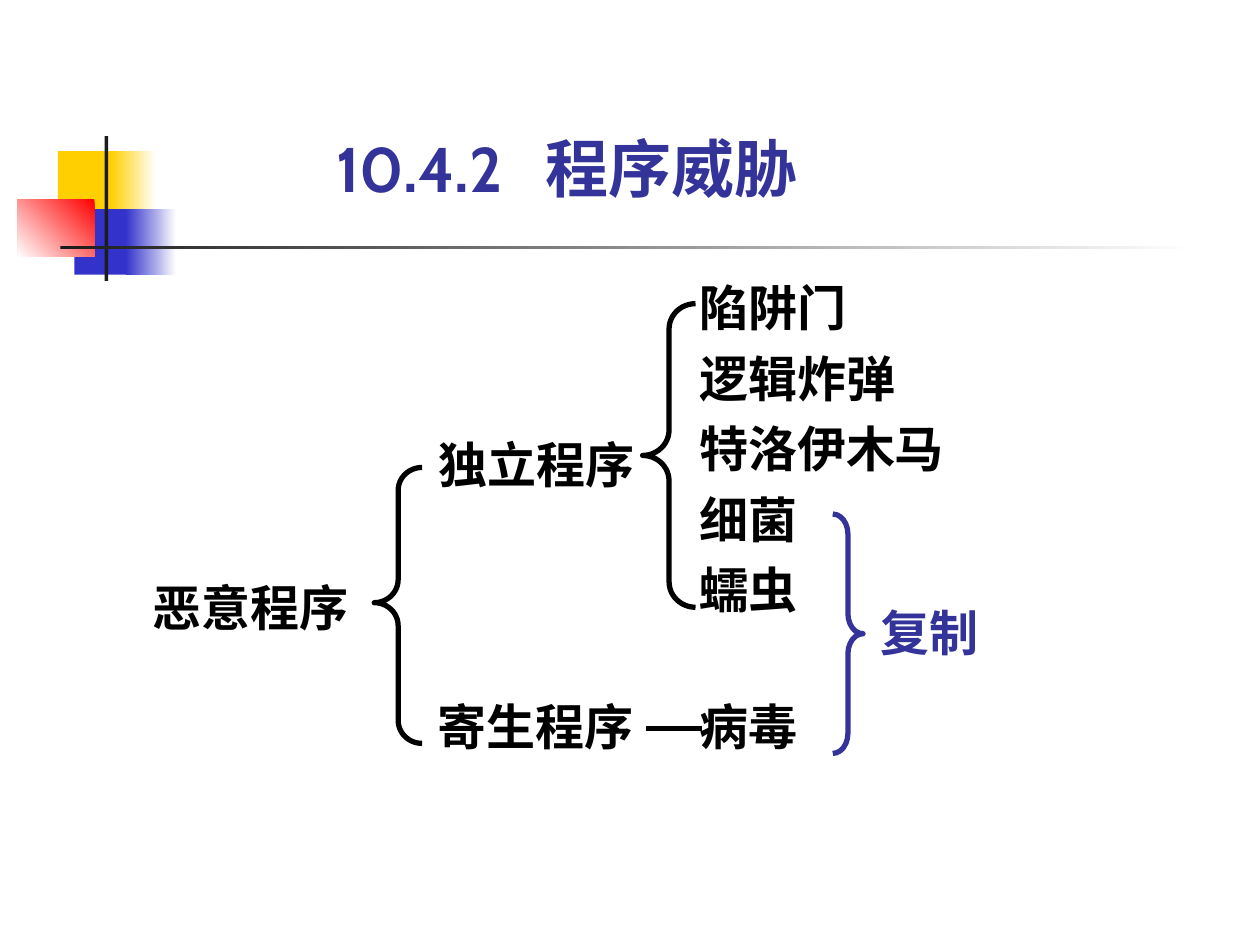
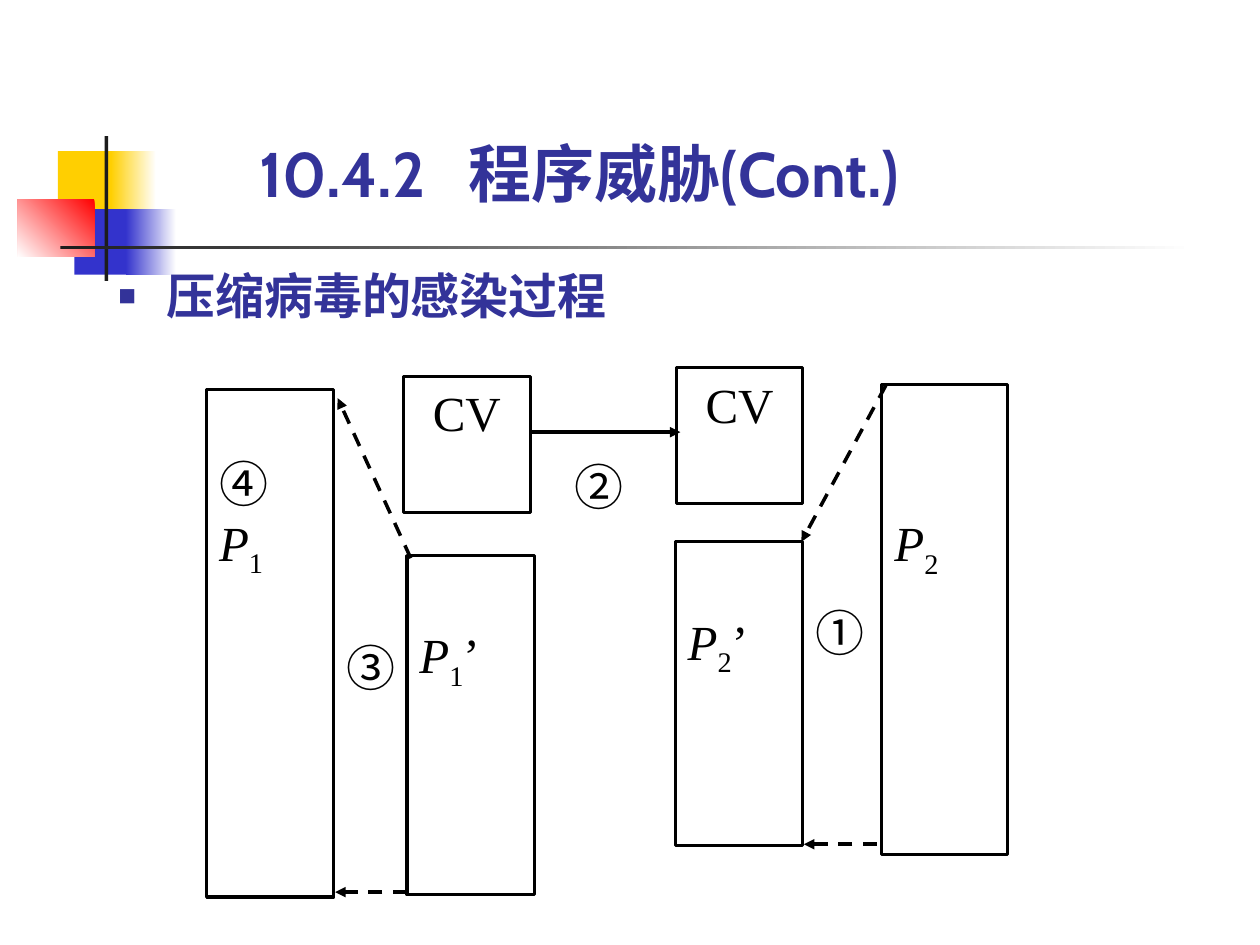
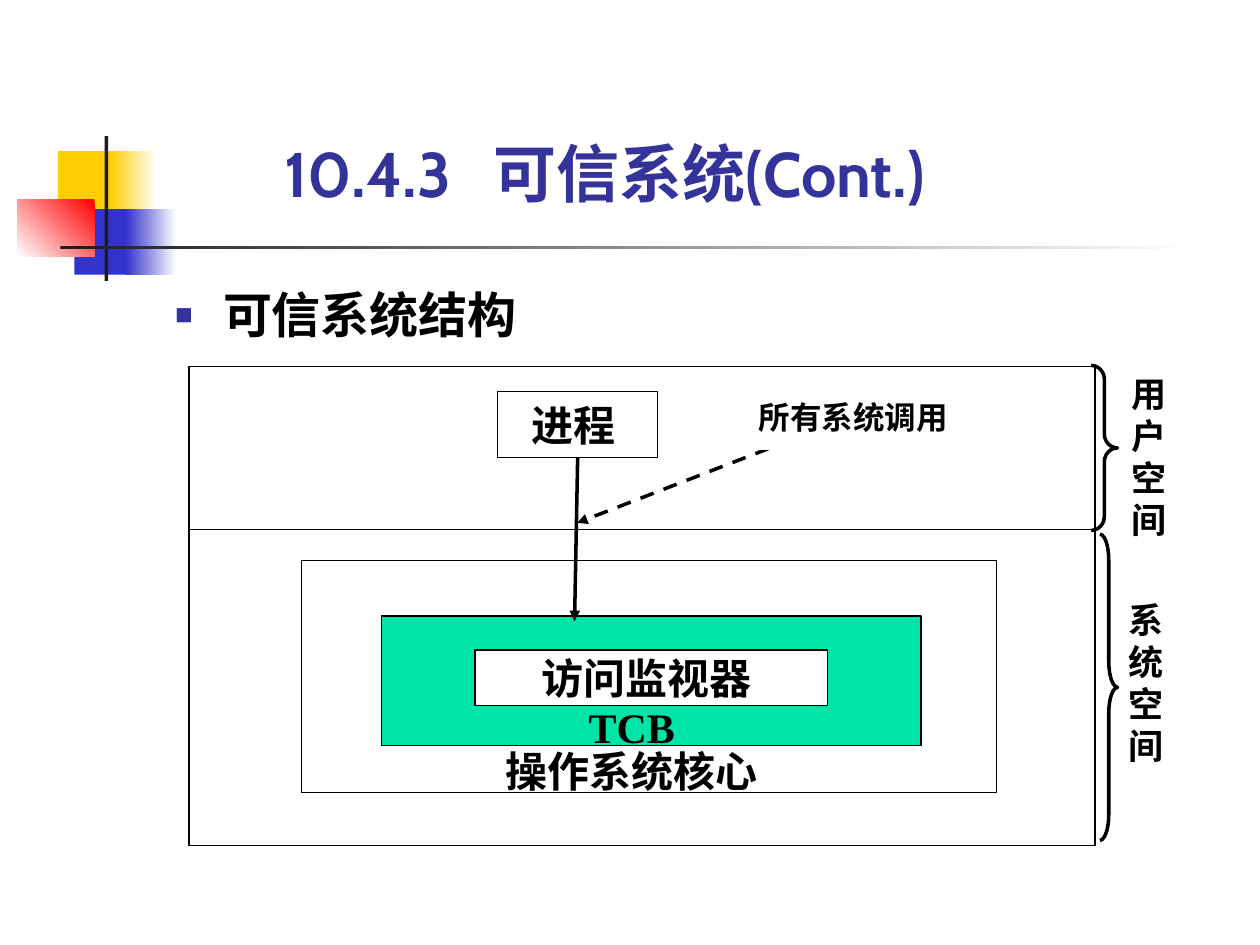
from typing import Any, NamedTuple

from lxml import etree
from pptx import Presentation
from pptx.dml.color import RGBColor
from pptx.enum import dml, shapes, text
from pptx.oxml.ns import qn
from pptx import util as u

BLACK = RGBColor(0x00, 0x00, 0x00)
WHITE = RGBColor(0xFF, 0xFF, 0xFF)
INK = RGBColor(0x1C, 0x1C, 0x1C)
NAVY = RGBColor(0x33, 0x33, 0x99)
BLUE = RGBColor(0x33, 0x33, 0xCC)
GOLD = RGBColor(0xFF, 0xCF, 0x01)
RED = RGBColor(0xFF, 0x00, 0x00)
MINT = RGBColor(0x00, 0xE4, 0xA8)

HAN = "Noto Sans CJK SC"
LATIN = "Times New Roman"
HEAD = "Cabin"

RECT = shapes.MSO_SHAPE.RECTANGLE
LEFT = shapes.MSO_SHAPE.LEFT_BRACE
RIGHT = shapes.MSO_SHAPE.RIGHT_BRACE
MID = text.PP_ALIGN.CENTER
SNUG = (0, 0, 0, 0)
PAD = (0.1, 0.05, 0.1, 0.05)

Area = tuple[float, float, float, float]
Point = tuple[float, float]


class Style(NamedTuple):
    size: float = 28
    name: str = HAN
    color: RGBColor = BLACK
    bold: bool = True


class Run(NamedTuple):
    words: str
    italic: bool = False
    sub: bool = False


class Para(NamedTuple):
    runs: tuple[Run, ...]
    align: Any = text.PP_ALIGN.LEFT
    space: float = 1.0
    tab: float = 0
    bullet: bool = False


class Box(NamedTuple):
    at: Area
    paras: tuple[Para, ...] = ()
    style: Style = Style()
    fill: RGBColor | None = None
    line: float = 0
    inset: Area = SNUG
    middle: bool = False
    wrap: bool = True


class Brace(NamedTuple):
    kind: Any
    at: Area
    curve: float
    peak: float
    color: RGBColor = BLACK
    line: float = 3


class Link(NamedTuple):
    start: Point
    end: Point
    line: float = 2
    dash: bool = False
    head: bool = True


class Band(NamedTuple):
    at: Area
    color: RGBColor
    fade: bool = False
    angle: float = 0


BANDS = (
    Band((0.46, 1.2, 0.48, 0.52), GOLD),
    Band((0.88, 1.2, 0.36, 0.52), GOLD, True),
    Band((0.59, 1.66, 0.46, 0.52), BLUE),
    Band((1, 1.66, 0.4, 0.52), BLUE, True),
    Band((0.14, 1.58, 0.61, 0.46), RED, True, 225),
    Band((0.83, 1.08, 0.03, 1.15), INK),
    Band((0.48, 1.95, 9, 0.03), INK, True),
)


def assign(item: Any, **values: Any) -> None:
    for key, value in values.items():
        setattr(item, key, value)


def inches(area: tuple[float, ...]) -> list[u.Length]:
    return [u.Inches(side) for side in area]


def plain(words: str, **form: Any) -> Para:
    return Para((Run(words),), **form)


def mark(para: Any) -> None:
    """Give a paragraph the square list bullet."""
    prop = para._p.get_or_add_pPr()
    prop.set("marL", str(u.Inches(0.38)))
    prop.set("indent", str(-u.Inches(0.38)))
    color = etree.SubElement(prop, qn("a:buClr"))
    etree.SubElement(color, qn("a:srgbClr"), val=str(NAVY))
    etree.SubElement(prop, qn("a:buSzPct"), val="60000")
    etree.SubElement(prop, qn("a:buFont"), typeface=LATIN)
    etree.SubElement(prop, qn("a:buChar"), char="■")


def write(para: Any, data: Para, style: Style) -> None:
    assign(para, alignment=data.align, line_spacing=data.space, space_before=u.Pt(0))
    if data.bullet:
        mark(para)
    if data.tab:
        tabs = etree.SubElement(para._p.get_or_add_pPr(), qn("a:tabLst"))
        etree.SubElement(tabs, qn("a:tab"), pos=str(u.Inches(data.tab)), algn="l")
    for item in data.runs:
        run = para.add_run()
        run.text = item.words
        assign(run.font, name=style.name, size=u.Pt(style.size),
               bold=style.bold, italic=item.italic)
        run.font.color.rgb = style.color
        prop = run._r.get_or_add_rPr()
        etree.SubElement(prop, qn("a:ea"), typeface=HAN)
        if item.sub:
            prop.set("baseline", "-25000")


def fill_text(shape: Any, box: Box) -> None:
    frame = shape.text_frame
    left, top, right, bottom = inches(box.inset)
    anchor = text.MSO_ANCHOR.MIDDLE if box.middle else text.MSO_ANCHOR.TOP
    assign(frame, margin_left=left, margin_top=top, margin_right=right,
           margin_bottom=bottom, word_wrap=box.wrap, vertical_anchor=anchor,
           auto_size=text.MSO_AUTO_SIZE.NONE)
    for i, data in enumerate(box.paras):
        para = frame.add_paragraph() if i else frame.paragraphs[0]
        write(para, data, box.style)


def paint(shape: Any, fill: RGBColor | None, line: float, color: RGBColor = BLACK) -> None:
    shape.shadow.inherit = False
    if fill is None:
        shape.fill.background()
    else:
        shape.fill.solid()
        shape.fill.fore_color.rgb = fill
    if line:
        shape.line.color.rgb = color
        shape.line.width = u.Pt(line)
    else:
        shape.line.fill.background()


def draw_box(slide: Any, box: Box) -> Any:
    if box.fill is None and not box.line:
        shape = slide.shapes.add_textbox(*inches(box.at))
    else:
        shape = slide.shapes.add_shape(RECT, *inches(box.at))
        paint(shape, box.fill, box.line)
    if box.paras:
        fill_text(shape, box)
    return shape


def draw_brace(slide: Any, brace: Brace) -> None:
    shape = slide.shapes.add_shape(brace.kind, *inches(brace.at))
    paint(shape, None, brace.line, brace.color)
    shape.adjustments[0] = brace.curve
    shape.adjustments[1] = brace.peak


def draw_link(slide: Any, link: Link) -> Any:
    line = slide.shapes.add_connector(
        shapes.MSO_CONNECTOR.STRAIGHT, *inches(link.start + link.end))
    line.line.color.rgb = BLACK
    line.line.width = u.Pt(link.line)
    if link.dash:
        line.line.dash_style = dml.MSO_LINE.DASH
    if link.head:
        etree.SubElement(line.line._get_or_add_ln(), qn("a:tailEnd"), type="triangle")
    etree.SubElement(line._element.spPr, qn("a:effectLst"))
    return line


def dress(deck: Any, slide: Any) -> None:
    """Draw the bands and move them to the master, behind everything."""
    tree = deck.slide_master.shapes.element
    for i, band in enumerate(BANDS):
        shape = slide.shapes.add_shape(RECT, *inches(band.at))
        paint(shape, band.color, 0)
        if band.fade:
            shape.fill.gradient()
            shape.fill.gradient_angle = band.angle
            for stop, color in zip(shape.fill.gradient_stops, (band.color, WHITE)):
                stop.color.rgb = color
        tree.insert(2 + i, shape.element)


def place(holder: Any, box: Box) -> None:
    left, top, width, height = inches(box.at)
    assign(holder, left=left, top=top, width=width, height=height)
    fill_text(holder, box)


def start(deck: Any, title: str, at: Area, body: Box | None = None) -> Any:
    slide = deck.slides.add_slide(deck.slide_layouts[1 if body else 5])
    place(slide.shapes.title, Box(at, (plain(title, tab=1.66),), Style(36, HEAD, NAVY)))
    slide.shapes.title.text_frame.vertical_anchor = text.MSO_ANCHOR.BOTTOM
    if body:
        place(slide.placeholders[1], body)
    return slide


def threats(deck: Any) -> None:
    slide = start(deck, "10.4.2\t程序威胁", (2.67, 0.93, 4.16, 0.7))
    dress(deck, slide)
    kinds = ("陷阱门", "逻辑炸弹", "特洛伊木马", "细菌", "蠕虫")
    for box in (
        Box((3.48, 3.45, 1.7, 0.47), (plain("独立程序"),), Style(name=LATIN)),
        Box((3.47, 5.53, 3.49, 0.47), (plain("寄生程序\t病毒", tab=2.08),), Style(name=LATIN)),
        Box((5.55, 2.11, 2.17, 2.8), tuple(plain(kind, space=1.2) for kind in kinds),
            Style(name=LATIN)),
        Box((6.99, 4.78, 1.1, 0.47), (plain("复制"),), Style(name=LATIN, color=NAVY)),
        Box((1.21, 4.58, 1.66, 0.47), (plain("恶意程序"),)),
    ):
        draw_box(slide, box)
    for brace in (
        Brace(LEFT, (2.97, 3.71, 0.38, 2.19), 0.48, 0.49),
        Brace(LEFT, (5.1, 2.41, 0.42, 2.41), 0.48, 0.5),
        Brace(RIGHT, (6.61, 4.08, 0.24, 1.9), 0.66, 0.5, NAVY),
    ):
        draw_brace(slide, brace)
    draw_link(slide, Link((5.13, 5.78), (5.57, 5.78), 3, head=False))


def virus(deck: Any) -> None:
    body = Box((0.94, 2.11, 4.42, 0.47), (plain("压缩病毒的感染过程", bullet=True),),
               Style(name=HEAD, color=NAVY))
    slide = start(deck, "10.4.2\t程序威胁(Cont.)", (2.06, 0.97, 5.92, 0.7), body)
    serif = Style(name=LATIN, bold=False)
    thin = Style(bold=False)

    def program(index: str, prime: str = "") -> Para:
        runs = (Run("P", italic=True), Run(index, sub=True))
        return Para(runs + ((Run(prime),) if prime else ()))

    for at, inset, para in (
        ((3.23, 4.41, 1.01, 2.69), 0.55, program("1", "’")),
        ((3.2, 2.99, 1.01, 1.08), 0.05, plain("CV", align=MID)),
        ((5.36, 4.3, 1.01, 2.41), 0.55, program("2", "’")),
        ((5.37, 2.92, 1, 1.08), 0.05, plain("CV", align=MID)),
        ((7, 3.05, 1, 3.73), 1.02, program("2")),
    ):
        draw_box(slide, Box(at, (para,), serif, line=1.75, inset=(0.1, inset, 0.1, 0.05)))
    host = draw_box(slide, Box((1.64, 3.09, 1.01, 4.03), (plain("④"),), thin,
                               line=1.75, inset=(0.1, 0.51, 0.1, 0.05)))
    write(host.text_frame.add_paragraph(), program("1"), serif)
    for link in (
        Link((6.96, 6.7), (6.38, 6.7), dash=True),
        Link((7.03, 3.06), (6.36, 4.3), dash=True),
        Link((4.21, 3.43), (5.4, 3.43)),
        Link((3.26, 4.43), (2.68, 3.16), dash=True),
        Link((3.23, 7.08), (2.66, 7.08), dash=True),
    ):
        draw_link(slide, link)
    for step, left, top in (("①", 6.47, 4.78), ("②", 4.56, 3.62), ("③", 2.75, 5.06)):
        draw_box(slide, Box((left, top, 0.42, 0.77), (plain(step),), thin))


def trust(deck: Any) -> None:
    body = Box((1.29, 2.21, 3, 0.67), (plain("可信系统结构", bullet=True),), inset=PAD)
    slide = start(deck, "10.4.3\t可信系统(Cont.)", (2.26, 1.07, 6.05, 0.6), body)

    def label(words: str, at: Area, fill: RGBColor = WHITE, line: float = 0,
              name: str = HAN) -> Any:
        return draw_box(slide, Box(at, (plain(words, align=MID),), Style(24, name), fill,
                                   line, (0.1, 0.05, 0.17, 0.05), True, False))

    for at, fill in (
        ((1.5, 2.91, 7.19, 3.8), WHITE),
        ((2.39, 4.45, 5.52, 1.84), WHITE),
        ((3.03, 4.89, 4.28, 1.03), MINT),
    ):
        draw_box(slide, Box(at, fill=fill, line=0.75))
    draw_link(slide, Link((1.5, 4.2), (8.69, 4.2), 0.75, head=False))
    label("访问监视器", (3.77, 5.16, 2.8, 0.44), line=0.75)
    process = label("进程", (3.95, 3.11, 1.27, 0.52), line=0.75)
    draw_link(slide, Link((6.1, 3.56), (4.58, 4.15), dash=True))
    draw_box(slide, Box((6, 3.15, 1.85, 0.42), (plain("所有系统调用"),), Style(18, LATIN),
                        WHITE, inset=(0.02, 0.01, 0.02, 0.01)))
    call = draw_link(slide, Link((4.58, 3.64), (4.56, 4.93)))
    call.begin_connect(process, 2)
    label("TCB", (4.59, 5.69, 0.92, 0.16), MINT, name=LATIN)
    label("操作系统核心", (3.95, 5.95, 2.2, 0.33))
    for words, at in (
        ("用户空间", (8.88, 2.91, 0.55, 1.5)),
        ("系统空间", (8.86, 4.7, 0.62, 1.44)),
    ):
        draw_box(slide, Box(at, (plain(words),), Style(20), WHITE, inset=PAD))
    draw_brace(slide, Brace(RIGHT, (8.66, 2.9, 0.21, 1.31), 0.52, 0.5, line=2))
    draw_brace(slide, Brace(RIGHT, (8.73, 4.24, 0.14, 2.43), 1.48, 0.5, line=2))


def main() -> None:
    deck = Presentation()
    assign(deck, slide_width=u.Inches(10), slide_height=u.Inches(7.5))
    for build in (threats, virus, trust):
        build(deck)
    deck.save("out.pptx")


if __name__ == "__main__":
    main()
